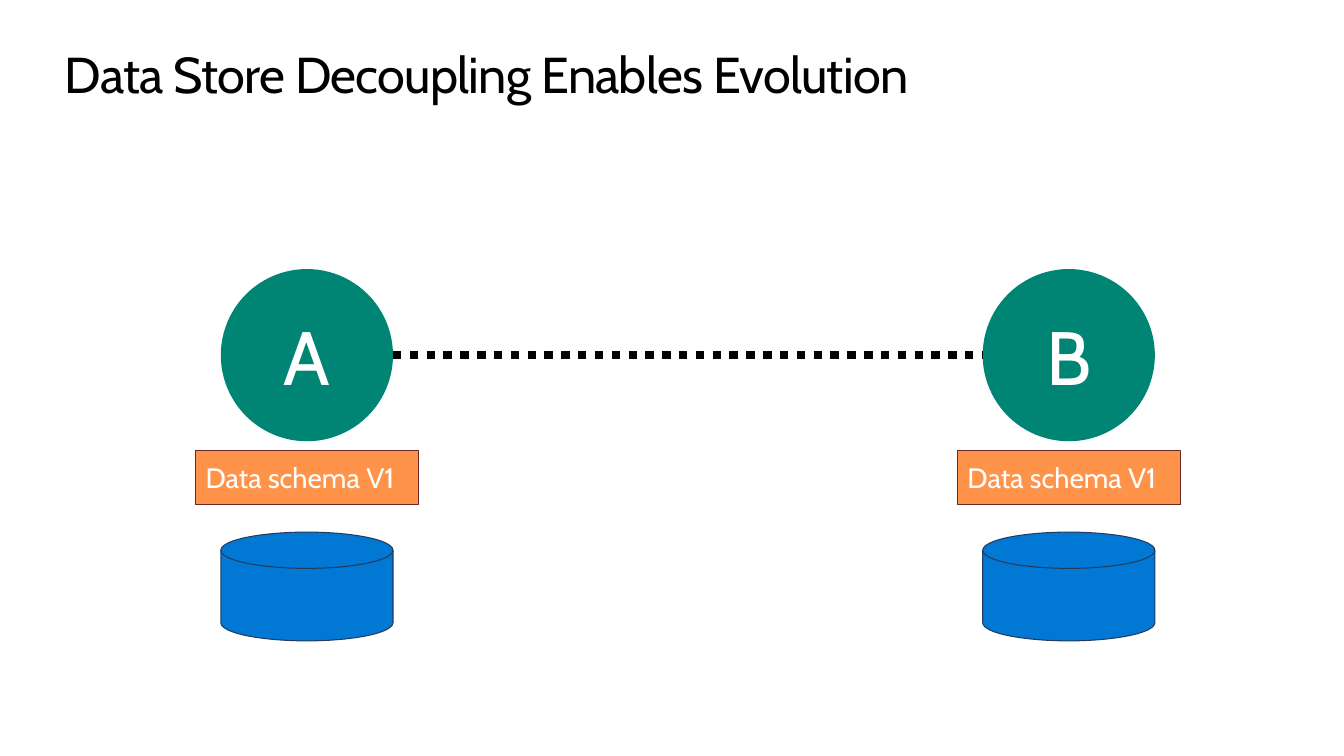
from pptx import Presentation
from pptx.dml.color import RGBColor
from pptx.enum.dml import MSO_LINE as Dash
from pptx.enum.shapes import MSO_CONNECTOR as Link, MSO_SHAPE as Form
from pptx.enum.text import MSO_ANCHOR as Anchor, MSO_AUTO_SIZE as Fit, PP_ALIGN as Align
from pptx.oxml.ns import qn
from pptx.util import Cm, Pt
from lxml.etree import SubElement

FONT = "Cabin"
HUES = {
    "ink": "000000", "white": "FFFFFF", "green": "008575", "blue": "0078D4",
    "navy": "243A5E", "orange": "FF9349", "brown": "6B2929",
}


def hue(name):
    return RGBColor.from_string(HUES[name])


def write(frame, text, size, color, pads, align=Align.LEFT, anchor=Anchor.TOP):
    frame.word_wrap = True
    frame.vertical_anchor = anchor
    frame.margin_left = frame.margin_right = Cm(pads[0])
    frame.margin_top = frame.margin_bottom = Cm(pads[1])
    para = frame.paragraphs[0]
    para.alignment = align
    run = para.add_run()
    run.text = text
    run.font.name, run.font.size = FONT, Pt(size)
    run.font.color.rgb = hue(color)
    return run


def add_form(slide, form, box, fill, edge=None):
    shape = slide.shapes.add_shape(form, *map(Cm, box))
    shape.shadow.inherit = False
    shape.fill.solid()
    shape.fill.fore_color.rgb = hue(fill)
    if edge:
        shape.line.color.rgb = hue(edge)
        shape.line.width = Pt(0.75)
    else:
        shape.line.fill.background()
    return shape


def add_title(slide, text, box):
    title = slide.shapes.title
    title.left, title.top, title.width, title.height = map(Cm, box)
    run = write(title.text_frame, text, 36, "ink", (0, 0))
    title.text_frame.auto_size = Fit.NONE
    title.text_frame.paragraphs[0].line_spacing = 0.9
    run.font._element.set("spc", "-50")


def add_store(slide, name, schema, box):
    """Service circle, schema label and data disk, stacked in the box."""
    left, top, width, height = box
    side, disk = 4.34, 2.74
    inner = left + (width - side) / 2

    # Service
    circle = add_form(slide, Form.OVAL, (inner, top, side, side), "green")
    write(circle.text_frame, name, 54, "white", (0.51, 0.41), Align.CENTER, Anchor.MIDDLE)

    # Data store
    add_form(slide, Form.FLOWCHART_MAGNETIC_DISK,
             (inner, top + height - disk, side, disk), "blue", "navy")

    # Schema
    label = add_form(slide, Form.RECTANGLE, (left, top + side + 0.23, width, 1.37),
                     "orange", "brown")
    write(label.text_frame, schema, 20, "white", (0.25, 0.25))
    return circle


def add_link(slide, start, end):
    """Dotted line between the facing sides of two circles."""
    mid = start.top + start.height // 2
    line = slide.shapes.add_connector(Link.STRAIGHT, start.left + start.width, mid, end.left, mid)
    line.line.color.rgb = hue("ink")
    line.line.width = Pt(6)
    line.line.dash_style = Dash.ROUND_DOT  # stored as sysDot
    SubElement(line._element.spPr, qn("a:effectLst"))


def main():
    deck = Presentation()
    deck.slide_width, deck.slide_height = Cm(33.87), Cm(19.05)
    slide = deck.slides.add_slide(deck.slide_layouts[5])
    add_title(slide, "Data Store Decoupling Enables Evolution", (1.63, 1.27, 30.61, 1.55))
    first, second = [
        add_store(slide, name, "Data schema V1", (left, 6.78, 5.61, 9.37))
        for name, left in (("A", 4.93), ("B", 24.13))
    ]
    add_link(slide, first, second)
    deck.save("out.pptx")


if __name__ == "__main__":
    main()
